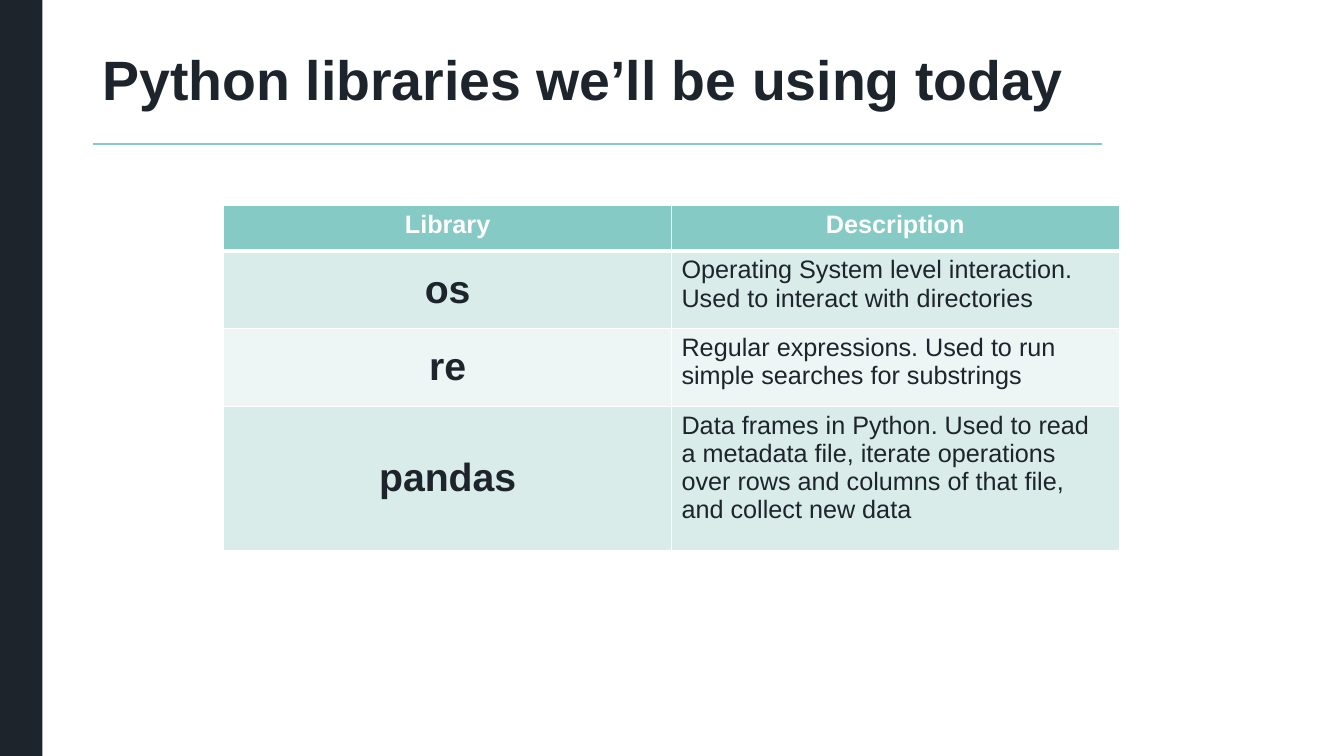
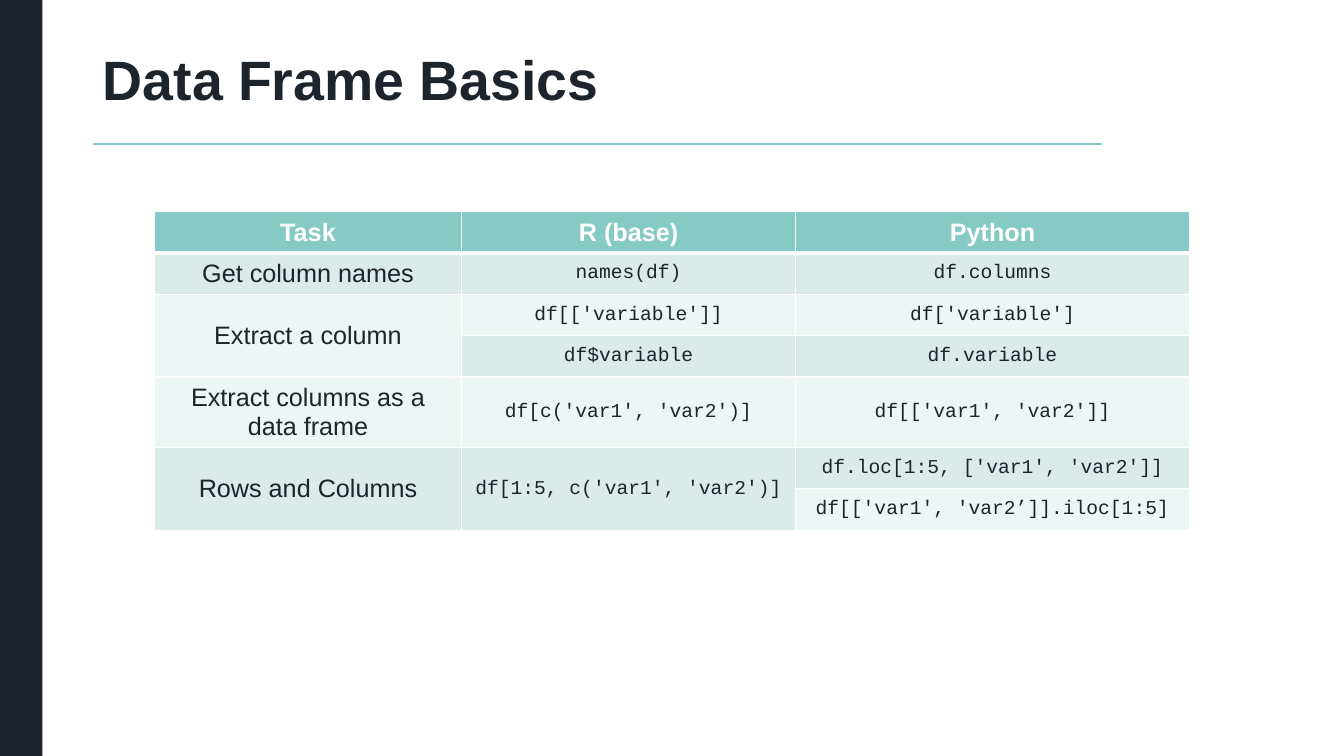
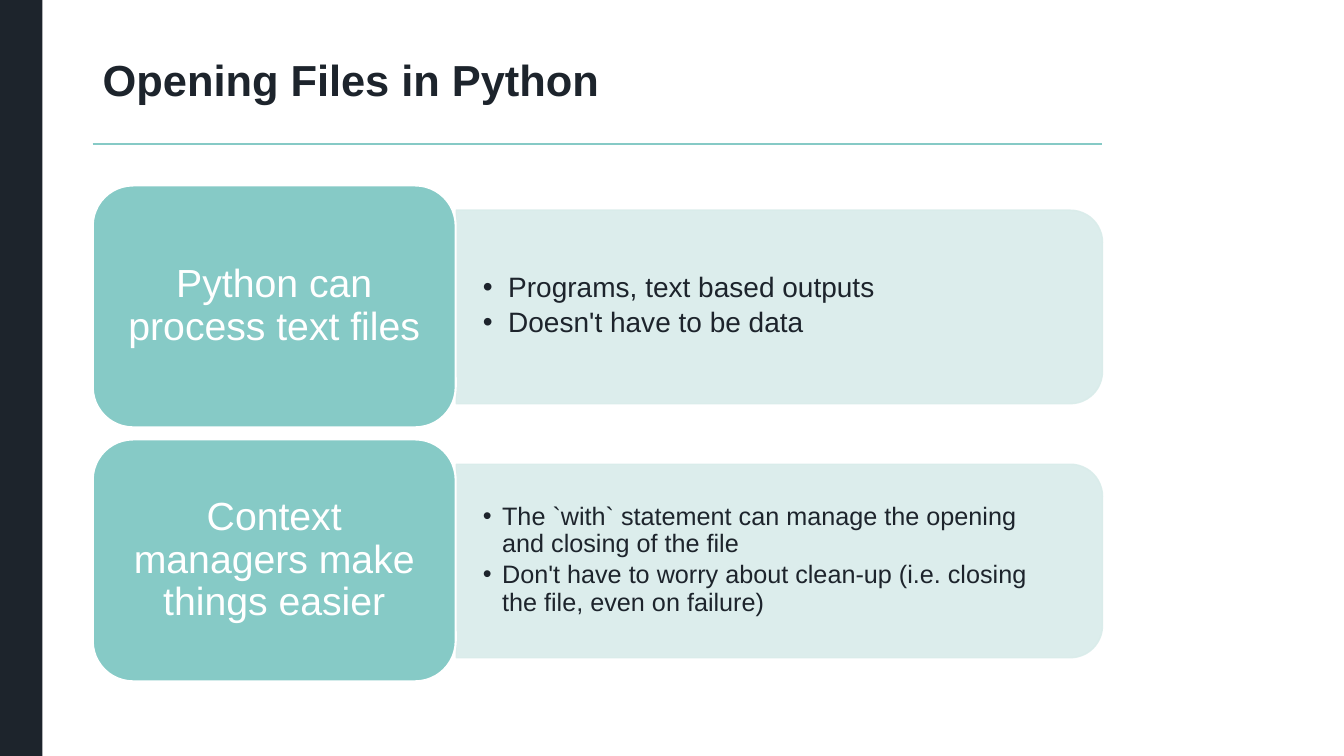
"""Build three slides on Python libraries, data frames and opening files."""
from lxml.etree import SubElement
from pptx import Presentation
from pptx.dml.color import RGBColor
from pptx.enum.shapes import MSO_CONNECTOR, MSO_SHAPE
from pptx.enum.text import MSO_ANCHOR, PP_ALIGN
from pptx.oxml.ns import qn
from pptx.util import Pt

PX = 9144
INK, TEAL, PALE, PALER, WHITE = "1D242C", "86CAC6", "D9ECEA", "EDF6F5", "FFFFFF"
SANS, CODE = "Arial", "Courier New"
rgb = RGBColor.from_string

deck = Presentation()
deck.slide_width, deck.slide_height = 1333 * PX, 750 * PX


def write(paragraph, text, size, color=INK, bold=False, font=SANS):
    span = paragraph.add_run()
    span.text = text
    span.font.size = Pt(size)
    span.font.name = font
    span.font.bold = bold
    span.font.color.rgb = rgb(color)


def start_page(title, size):
    page = deck.slides.add_slide(deck.slide_layouts[6])
    band = page.shapes.add_shape(MSO_SHAPE.RECTANGLE, 0, 0, 42 * PX, 750 * PX)
    band.shadow.inherit = False
    band.fill.solid()
    band.fill.fore_color.rgb = rgb(INK)
    band.line.fill.background()
    rule = page.shapes.add_connector(
        MSO_CONNECTOR.STRAIGHT, 92 * PX, 143 * PX, 1093 * PX, 143 * PX)
    rule.line.color.rgb = rgb(TEAL)
    rule.line.width = Pt(1)
    SubElement(rule.element.spPr, qn("a:effectLst"))
    box = page.shapes.add_textbox(92 * PX, 53 * PX, 1001 * PX, 58 * PX)
    box.text_frame.word_wrap = True
    box.text_frame.vertical_anchor = MSO_ANCHOR.MIDDLE
    paragraph = box.text_frame.paragraphs[0]
    paragraph.line_spacing = 0.9
    write(paragraph, title, size, bold=True)
    return page


CENTER, LEFT = PP_ALIGN.CENTER, PP_ALIGN.LEFT
MIDDLE, TOP = MSO_ANCHOR.MIDDLE, MSO_ANCHOR.TOP
label_style = (18, False, SANS, CENTER, MIDDLE)
code_style = (14, False, CODE, CENTER, MIDDLE)

library_rows = [
    ["Library", "Description"],
    ["os", "Operating System level interaction. Used to interact with directories"],
    ["re", "Regular expressions. Used to run simple searches for substrings"],
    ["pandas", "Data frames in Python. Used to read a metadata file, iterate operations "
               "over rows and columns of that file, and collect new data"],
]
task_rows = [
    ["Task", "R (base)", "Python"],
    ["Get column names", "names(df)", "df.columns"],
    ["Extract a column", "df[['variable']]", "df['variable']"],
    [None, "df$variable", "df.variable"],
    ["Extract columns as a data frame", "df[c('var1', 'var2')]", "df[['var1', 'var2']]"],
    ["Rows and Columns", "df[1:5, c('var1', 'var2')]", "df.loc[1:5, ['var1', 'var2']]"],
    [None, None, "df[['var1', 'var2’]].iloc[1:5]"],
]
table_pages = [
    ("Python libraries we’ll be using today", 222, 204, [444, 444], [45, 77, 77, 143],
     library_rows, TOP, [(28, True, SANS, CENTER, MIDDLE), (18, False, SANS, LEFT, TOP)], []),
    ("Data Frame Basics", 153, 210, [305, 331, 391], [41] * 7,
     task_rows, MIDDLE, [label_style, code_style, code_style], [(2, 0), (5, 0), (5, 1)]),
]

for title, left, top, widths, heights, rows, head_anchor, styles, merges in table_pages:
    page = start_page(title, 39.6)
    table = page.shapes.add_table(
        len(rows), len(widths), left * PX, top * PX,
        sum(widths) * PX, sum(heights) * PX).table
    for column, width in zip(table.columns, widths):
        column.width = width * PX
    for row, height in zip(table.rows, heights):
        row.height = height * PX
    for row_index, texts in enumerate(rows):
        for column_index, text in enumerate(texts):
            cell = table.cell(row_index, column_index)
            properties = cell._tc.get_or_add_tcPr()
            for edge in ("lnL", "lnR", "lnT", "lnB"):
                under_head = (row_index, edge) in ((0, "lnB"), (1, "lnT"))
                line = SubElement(properties, qn("a:" + edge), w=str(Pt(3 if under_head else 1)))
                SubElement(SubElement(line, qn("a:solidFill")), qn("a:srgbClr"), val=WHITE)
            size, bold, font, align, anchor = styles[column_index]
            color, fill = INK, PALE if row_index % 2 else PALER
            if row_index == 0:
                size, bold, font, align, anchor = 18, True, SANS, CENTER, head_anchor
                color, fill = WHITE, TEAL
            cell.fill.solid()
            cell.fill.fore_color.rgb = rgb(fill)
            cell.vertical_anchor = anchor
            if text:
                paragraph = cell.text_frame.paragraphs[0]
                paragraph.alignment = align
                write(paragraph, text, size, color, bold, font)
    for row_index, column_index in merges:
        table.cell(row_index, column_index).merge(table.cell(row_index + 1, column_index))

page = start_page("Opening Files in Python", 31)
topics = [
    ("Python can process text files", 20, 25,
     ["Programs, text based outputs", "Doesn't have to be data"]),
    ("Context managers make things easier", 18, 19,
     ["The `with` statement can manage the opening and closing of the file",
      "Don't have to worry about clean-up (i.e. closing the file, even on failure)"]),
]
for index, (heading, size, indent, points) in enumerate(topics):
    top = 184 + index * 252

    panel = page.shapes.add_shape(
        MSO_SHAPE.ROUND_2_SAME_RECTANGLE, 677 * PX, (top - 200) * PX, 192 * PX, 641 * PX)
    panel.rotation = 90
    panel.shadow.inherit = False
    panel.fill.solid()
    panel.fill.fore_color.rgb = rgb(PALE)
    panel.line.color.rgb = rgb(PALE)
    panel.line.width = Pt(1)
    for color in panel.element.spPr.iter(qn("a:srgbClr")):
        SubElement(color, qn("a:alpha"), val="90000")

    box = page.shapes.add_textbox(452 * PX, (top + 33) * PX, 631 * PX, 173 * PX)
    frame = box.text_frame
    frame.word_wrap = True
    frame.vertical_anchor = MIDDLE
    frame.margin_left = frame.margin_right = 27 * PX
    frame.margin_top = frame.margin_bottom = 14 * PX
    for number, point in enumerate(points):
        paragraph = frame.add_paragraph() if number else frame.paragraphs[0]
        properties = paragraph._p.get_or_add_pPr()
        properties.set("marL", str(indent * PX))
        properties.set("indent", str(-indent * PX))
        SubElement(properties, qn("a:buFont"), typeface=SANS)
        SubElement(properties, qn("a:buChar"), char="•")
        paragraph.level = 1
        paragraph.line_spacing = 0.9
        paragraph.space_after = Pt(3)
        write(paragraph, point, size)

    card = page.shapes.add_shape(
        MSO_SHAPE.ROUNDED_RECTANGLE, 92 * PX, top * PX, 360 * PX, 240 * PX)
    card.shadow.inherit = False
    card.fill.solid()
    card.fill.fore_color.rgb = rgb(TEAL)
    card.line.color.rgb = rgb(WHITE)
    card.line.width = Pt(1.5)
    frame = card.text_frame
    frame.word_wrap = True
    frame.vertical_anchor = MIDDLE
    frame.margin_left = frame.margin_right = 12 * PX
    frame.margin_top = frame.margin_bottom = 6 * PX
    paragraph = frame.paragraphs[0]
    paragraph.alignment = CENTER
    paragraph.line_spacing = 0.9
    write(paragraph, heading, 28, WHITE)

deck.save("out.pptx")
